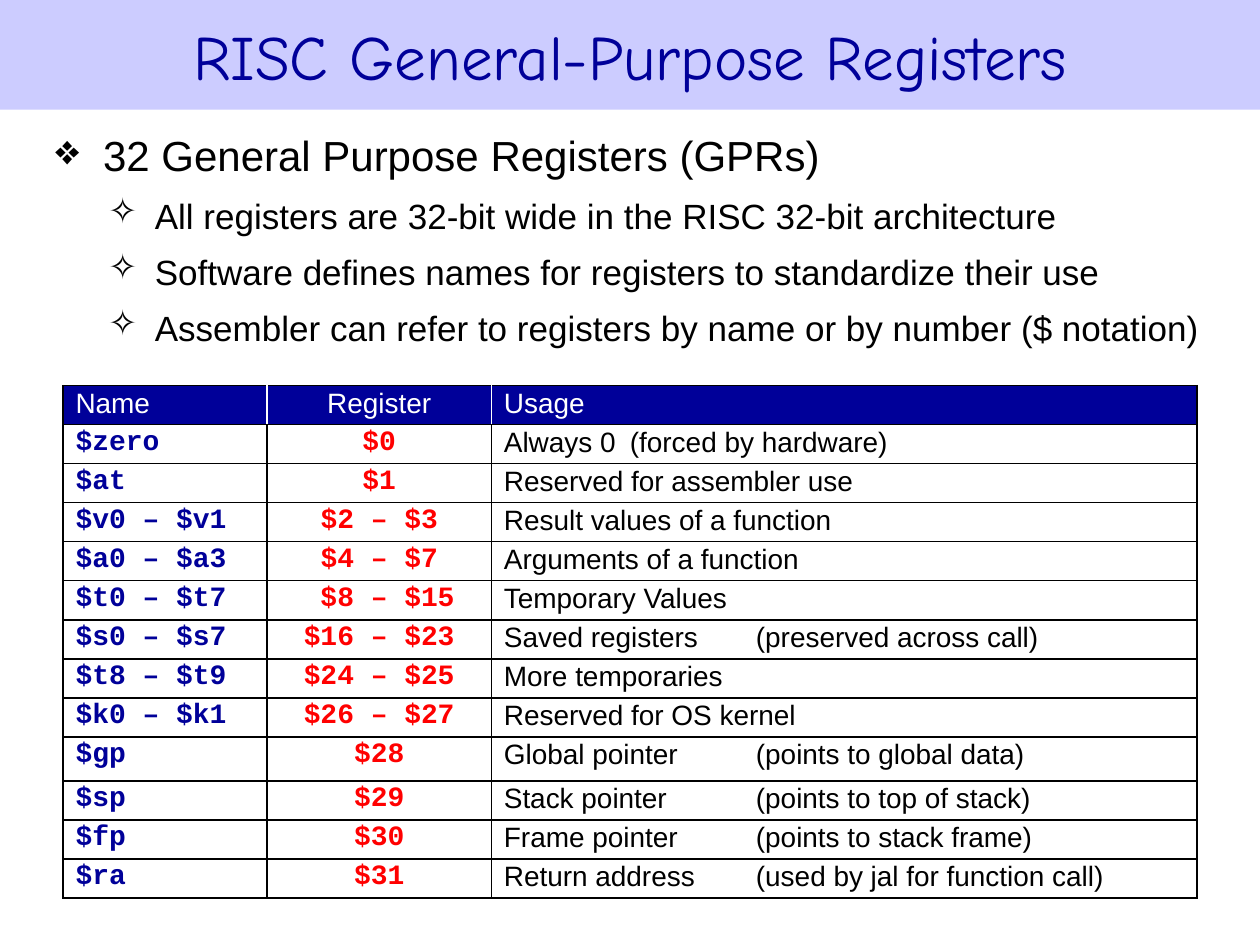
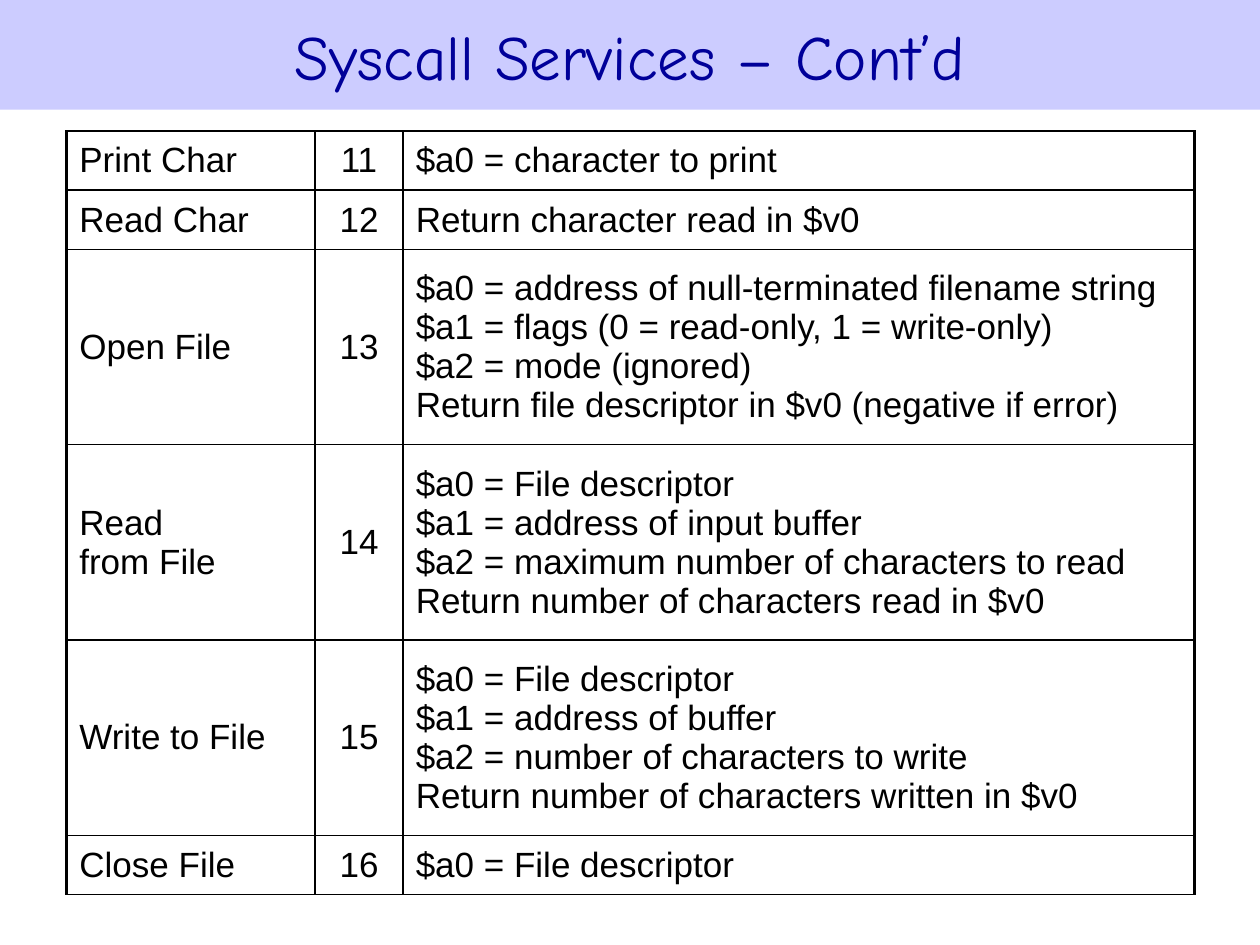
from pptx import Presentation
from pptx.dml.color import RGBColor
from pptx.enum.text import MSO_ANCHOR, PP_ALIGN
from pptx.oxml import parse_xml
from pptx.oxml.ns import nsdecls
from pptx.util import Inches, Pt

LEFT, CENTER = PP_ALIGN.LEFT, PP_ALIGN.CENTER
TOP, MIDDLE = MSO_ANCHOR.TOP, MSO_ANCHOR.MIDDLE

NAVY = RGBColor(0x00, 0x00, 0x99)
LILAC = RGBColor(0xCC, 0xCC, 0xFF)
RED = RGBColor(0xFF, 0x00, 0x00)
BLACK = RGBColor(0x00, 0x00, 0x00)
WHITE = RGBColor(0xFF, 0xFF, 0xFF)

SANS, MONO, HAND = "Arial", "Courier New", "Comic Neue"

deck = Presentation()
deck.slide_width, deck.slide_height = Inches(10), Inches(7.5)


def add_slide(text):
    """Add a slide with the title band across its top."""
    slide = deck.slides.add_slide(deck.slide_layouts[5])
    title = slide.shapes.title
    title.left, title.top = Inches(0), Inches(0)
    title.width, title.height = Inches(10), Inches(0.87)
    title.fill.solid()
    title.fill.fore_color.rgb = LILAC
    frame = title.text_frame
    frame.text = text
    frame.vertical_anchor = MIDDLE
    para = frame.paragraphs[0]
    para.alignment = CENTER
    para.font.name, para.font.size = HAND, Pt(36)
    para.font.color.rgb = NAVY
    return slide


def add_grid(slide, spot, cols, highs, rows, size, pad, anchor, side, fonts, head=False):
    """Add a ruled table; side is the width of its outer vertical lines."""
    left, top = spot
    frame = slide.shapes.add_table(
        len(rows), len(cols), Inches(left), Inches(top),
        Inches(sum(cols)), Inches(sum(highs)))
    table = frame.table
    table.first_row, table.horz_banding = head, False
    for col, width in zip(table.columns, cols):
        col.width = Inches(width)
    for row, high in zip(table.rows, highs):
        row.height = Inches(high)
    last = len(cols) - 1
    for i, row in enumerate(rows):
        top_row = head and i == 0
        for j, text in enumerate(row):
            cell = table.cell(i, j)
            inner = WHITE if top_row else BLACK
            lines = {
                "lnL": (BLACK, side) if j == 0 else (inner, 1),
                "lnR": (BLACK, side) if j == last else (inner, 1),
                "lnT": (BLACK, 1),
                "lnB": (BLACK, 1),
            }
            props = cell._tc.get_or_add_tcPr()
            for tag, (color, width) in lines.items():
                props.append(parse_xml(
                    f'<a:{tag} {nsdecls("a")} w="{Pt(width)}"><a:solidFill>'
                    f'<a:srgbClr val="{color}"/></a:solidFill></a:{tag}>'))
            if top_row:
                cell.fill.solid()
                cell.fill.fore_color.rgb = NAVY
            else:
                cell.fill.background()
            cell.margin_left = cell.margin_right = Inches(0.1)
            cell.margin_top = cell.margin_bottom = Inches(pad)
            cell.vertical_anchor = anchor
            cell.text = text
            name, color, bold = (SANS, WHITE, False) if top_row else fonts[j]
            for para in cell.text_frame.paragraphs:
                para.alignment = CENTER if j == 1 else LEFT
                para.font.name, para.font.size = name, Pt(size)
                para.font.bold = bold
                para.font.color.rgb = color
                if "\t" in text:
                    stops = "".join(
                        f'<a:tab pos="{Inches(n)}" algn="l"/>' for n in (1, 2))
                    tabs = parse_xml(f'<a:tabLst {nsdecls("a")}>{stops}</a:tabLst>')
                    para._p.pPr.find("{*}defRPr").addprevious(tabs)


# Slide 1: registers
slide = add_slide("RISC General-Purpose Registers")

points = [
    (0, "32 General Purpose Registers (GPRs)"),
    (1, "All registers are 32-bit wide in the RISC 32-bit architecture"),
    (1, "Software defines names for registers to standardize their use"),
    (1, "Assembler can refer to registers by name or by number ($ notation)"),
]
# Per level: text size, left margin, hanging indent, bullet
levels = [(24, 0.38, 0.38, "\u2756"), (20, 0.79, 0.37, "\u2727")]

box = slide.shapes.add_textbox(Inches(0.34), Inches(0.98), Inches(9.32), Inches(2.02))
frame = box.text_frame
frame.word_wrap = True
for i, (level, text) in enumerate(points):
    para = frame.paragraphs[0] if i == 0 else frame.add_paragraph()
    size, margin, hang, mark = levels[level]
    para.text, para.level = text, level
    para.space_before = Pt(8 if i else 0)
    para.font.name, para.font.size = SANS, Pt(size)
    para.font.color.rgb = BLACK
    props = para._p.get_or_add_pPr()
    props.set("marL", str(Inches(margin)))
    props.set("indent", str(-Inches(hang)))
    bullet = parse_xml(f'<a:buChar {nsdecls("a")} char="{mark}"/>')
    props.find("{*}spcBef").addnext(bullet)

regs = [
    ("Name", "Register", "Usage"),
    ("$zero", "$0", "Always 0\t(forced by hardware)"),
    ("$at", "$1", "Reserved for assembler use"),
    ("$v0 – $v1", "$2 – $3", "Result values of a function"),
    ("$a0 – $a3", "$4 – $7", "Arguments of a function"),
    ("$t0 – $t7", " $8 – $15", "Temporary Values"),
    ("$s0 – $s7", "$16 – $23", "Saved registers\t(preserved across call)"),
    ("$t8 – $t9", "$24 – $25", "More temporaries"),
    ("$k0 – $k1", "$26 – $27", "Reserved for OS kernel"),
    ("$gp", "$28", "Global pointer\t(points to global data)"),
    ("$sp", "$29", "Stack pointer\t(points to top of stack)"),
    ("$fp", "$30", "Frame pointer\t(points to stack frame)"),
    ("$ra", "$31", "Return address\t(used by jal for function call)"),
]
highs = [0.35 if row[0] == "$gp" else 0.31 for row in regs]
add_grid(slide, (0.5, 3.06), [1.62, 1.78, 5.6], highs, regs,
         size=16, pad=0.02, anchor=TOP, side=1, head=True,
         fonts=[(MONO, NAVY, True), (MONO, RED, True), (SANS, BLACK, False)])

# Slide 2: system calls
slide = add_slide("Syscall Services – Cont’d")

calls = [
    ("Print Char", "11", "$a0 = character to print"),
    ("Read Char", "12", "Return character read in $v0"),
    ("Open File", "13",
     "$a0 = address of null-terminated filename string "
     "$a1 = flags (0 = read-only, 1 = write-only)\n"
     "$a2 = mode (ignored)\n"
     "Return file descriptor in $v0 (negative if error)"),
    ("Read\nfrom File", "14",
     "$a0 = File descriptor\n"
     "$a1 = address of input buffer\n"
     "$a2 = maximum number of characters to read\n"
     "Return number of characters read in $v0"),
    ("Write to File", "15",
     "$a0 = File descriptor\n"
     "$a1 = address of buffer\n"
     "$a2 = number of characters to write\n"
     "Return number of characters written in $v0"),
    ("Close File", "16", "$a0 = File descriptor"),
]
highs = [1.55 if "\n" in row[2] else 0.47 for row in calls]
add_grid(slide, (0.53, 1.04), [1.97, 0.7, 6.28], highs, calls,
         size=20, pad=0.05, anchor=MIDDLE, side=2.25,
         fonts=[(SANS, BLACK, False)] * 3)

deck.save("out.pptx")
